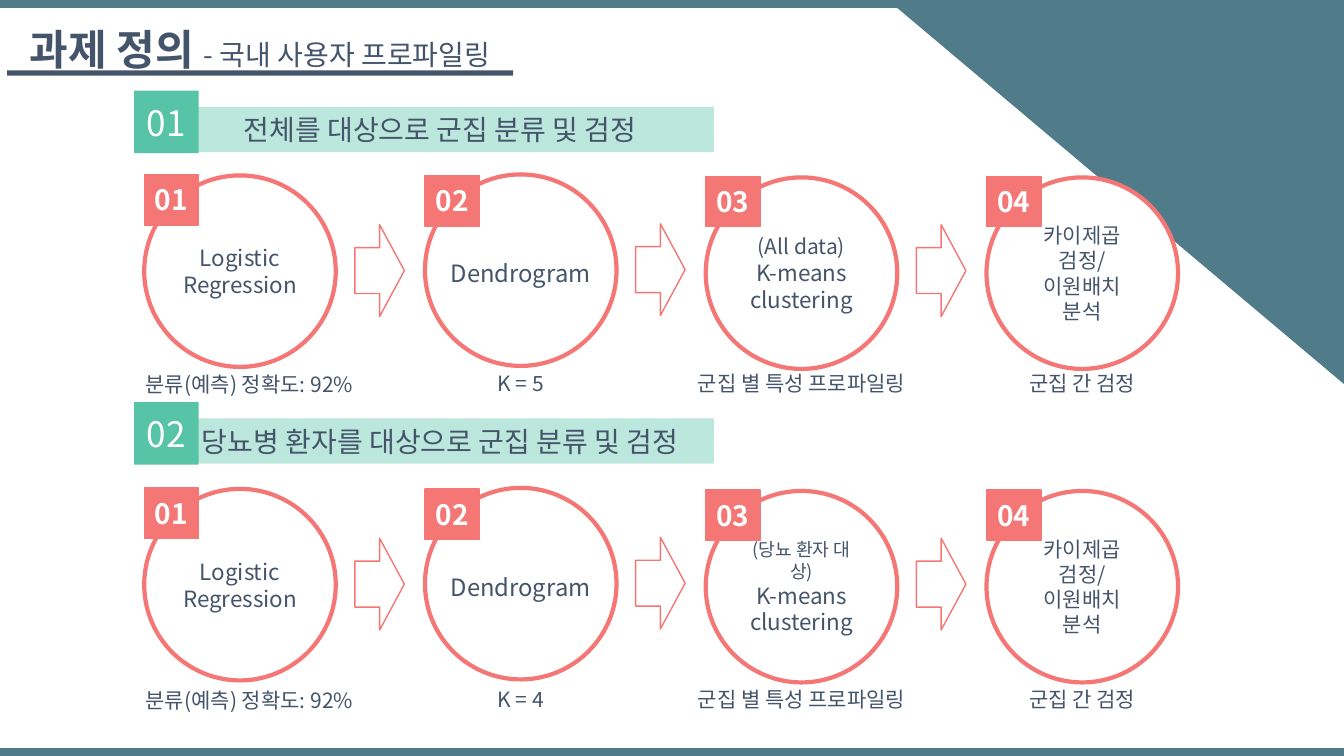
import pptx
import pptx.util
import pptx.oxml
import pptx.oxml.ns
import pptx.dml.color
import pptx.enum.shapes
import pptx.enum.text

SHAPE = pptx.enum.shapes.MSO_SHAPE
WIDTH = pptx.util.Inches(13.33)
HEIGHT = pptx.util.Inches(7.5)
FONT = "Noto Sans CJK KR"
COLORS = {
    "teal": "507C89",
    "white": "FFFFFF",
    "ink": "44546A",
    "mint": "BCE7DC",
    "green": "57C3A7",
    "coral": "F47775",
}

# Areas are left, top, width and height in percent of the slide.
FIRST_COLUMN, COLUMN_PITCH = 10.73, 20.89
BANNER_PITCH, STEP_PITCH, CAPTION_PITCH = 41.2, 41.47, 41.87
CIRCLE_WIDTH, CIRCLE_HEIGHT = 14.25, 25.33
CIRCLE_TOPS = [23.2, 23.07, 23.47, 23.47]
BADGE_TOPS = [23.07, 23.2, 23.33, 23.33]
ARROW_TOPS = [29.73, 29.6, 29.73]
CAPTION_TOPS = [47.33, 47.2, 47.2, 47.2]
CAPTION_WIDTHS = [17.63, 11.7, 18.15, 11.7]
CAPTION_SHIFTS = [0.7, 0, 0, 0]

LOGISTIC = [("Logistic", 16), ("Regression", 16)]
KMEANS = [("K-means", 16), ("clustering", 16)]
TESTS = [("카이제곱", 15), ("검정/", 15), ("이원배치", 15), ("분석", 15)]
ANALYSES = [
    {
        "heading": "전체를 대상으로 군집 분류 및 검정",
        "circles": [LOGISTIC, [], [("(All data)", 15)] + KMEANS, TESTS],
        "clusters": "K = 5",
    },
    {
        "heading": "당뇨병 환자를 대상으로 군집 분류 및 검정",
        "circles": [LOGISTIC, [], [("(당뇨 환자 대상)", 13)] + KMEANS, TESTS],
        "clusters": "K = 4",
    },
]


def color(name):
    return pptx.dml.color.RGBColor.from_string(COLORS[name])


def measure(area):
    left, top, width, height = area
    return (
        round(WIDTH * left / 100),
        round(HEIGHT * top / 100),
        round(WIDTH * width / 100),
        round(HEIGHT * height / 100),
    )


def column_left(column):
    return FIRST_COLUMN + COLUMN_PITCH * column


def format_run(run, size, color_name="ink", bold=False):
    run.font.name = FONT
    run.font.size = pptx.util.Pt(size)
    run.font.bold = bold
    run.font.color.rgb = color(color_name)


def set_east_asian_font(shape):
    for latin in list(shape.element.iter(pptx.oxml.ns.qn("a:latin"))):
        east_asian = pptx.oxml.parse_xml(
            f'<a:ea {pptx.oxml.ns.nsdecls("a")} typeface="{FONT}"/>'
        )
        latin.addnext(east_asian)


def write_lines(shape, lines, color_name="ink", bold=False):
    text_frame = shape.text_frame
    text_frame.word_wrap = True
    text_frame.vertical_anchor = pptx.enum.text.MSO_ANCHOR.MIDDLE
    text_frame.text = "\n".join(text for text, size in lines)
    for paragraph, (text, size) in zip(text_frame.paragraphs, lines):
        paragraph.alignment = pptx.enum.text.PP_ALIGN.CENTER
        format_run(paragraph.runs[0], size, color_name, bold)
    set_east_asian_font(shape)


def add_block(slide, kind, area, fill=None, line_width=0):
    shape = slide.shapes.add_shape(kind, *measure(area))
    shape.shadow.inherit = False
    if fill:
        shape.fill.solid()
        shape.fill.fore_color.rgb = color(fill)
    else:
        shape.fill.background()
    if line_width:
        shape.line.color.rgb = color("coral")
        shape.line.width = pptx.util.Pt(line_width)
    else:
        shape.line.fill.background()
    return shape


def add_label(slide, area, text, size):
    label = slide.shapes.add_textbox(*measure(area))
    write_lines(label, [(text, size)])


def add_backdrop(slide):
    slide.background.fill.solid()
    slide.background.fill.fore_color.rgb = color("teal")
    add_block(slide, SHAPE.RECTANGLE, (0, 1.07, 100, 97.87), "white")
    corner = add_block(
        slide, SHAPE.ISOSCELES_TRIANGLE, (66.77, 1.07, 33.23, 49.73), "teal"
    )
    corner.adjustments[0] = 0
    corner.rotation = 180


def add_title(slide):
    title = slide.shapes.title
    title.element.getparent().append(title.element)
    title.left, title.top, title.width, title.height = measure(
        (0.53, 1.07, 37.66, 10.67)
    )
    text_frame = title.text_frame
    text_frame.auto_size = pptx.enum.text.MSO_AUTO_SIZE.NONE
    text_frame.word_wrap = False
    text_frame.vertical_anchor = pptx.enum.text.MSO_ANCHOR.MIDDLE
    paragraph = text_frame.paragraphs[0]
    paragraph.text = "과제 정의 "
    paragraph.alignment = pptx.enum.text.PP_ALIGN.CENTER
    format_run(paragraph.runs[0], 30, bold=True)
    subtitle = paragraph.add_run()
    subtitle.text = "- 국내 사용자 프로파일링"
    format_run(subtitle, 20)
    set_east_asian_font(title)
    add_block(slide, SHAPE.RECTANGLE, (0.53, 9.33, 37.66, 0.67), "ink")


def add_banner(slide, row, heading):
    offset = BANNER_PITCH * row
    banner = add_block(
        slide, SHAPE.RECTANGLE, (12.38, 14.13 + offset, 40.74, 6), "mint"
    )
    write_lines(banner, [(heading, 20)])
    number = add_block(
        slide, SHAPE.RECTANGLE, (9.98, 12 + offset, 4.8, 8.27), "green"
    )
    write_lines(number, [(f"{row + 1:02}", 25)], "white")


def add_step(slide, row, column, lines):
    left, offset = column_left(column), STEP_PITCH * row
    circle_area = (left, CIRCLE_TOPS[column] + offset, CIRCLE_WIDTH, CIRCLE_HEIGHT)
    circle = add_block(slide, SHAPE.OVAL, circle_area, "white", 3)
    if lines:
        write_lines(circle, lines)
    else:
        add_label(slide, (left + 0.18, 32.67 + offset, 13.88, 6.93), "Dendrogram", 17)
    badge_area = (left, BADGE_TOPS[column] + offset, 4.05, 6.67)
    badge = add_block(slide, SHAPE.RECTANGLE, badge_area, "coral", 1)
    write_lines(badge, [(f"{column + 1:02}", 20)], "white", bold=True)


def add_arrow(slide, row, column):
    top = ARROW_TOPS[column] + STEP_PITCH * row
    area = (column_left(column) + 15.68, top, 3.68, 12.13)
    add_block(slide, SHAPE.RIGHT_ARROW, area, line_width=1)


def add_caption(slide, row, column, text):
    width = CAPTION_WIDTHS[column]
    center = column_left(column) + CIRCLE_WIDTH / 2 + CAPTION_SHIFTS[column]
    top = CAPTION_TOPS[column] + CAPTION_PITCH * row
    add_label(slide, (center - width / 2, top, width, 6.93), text, 15)


def main():
    presentation = pptx.Presentation()
    presentation.slide_width, presentation.slide_height = WIDTH, HEIGHT
    layout = presentation.slide_layouts.get_by_name("Title Only")
    slide = presentation.slides.add_slide(layout)
    add_backdrop(slide)
    add_title(slide)
    for row, analysis in enumerate(ANALYSES):
        add_banner(slide, row, analysis["heading"])
    for row, analysis in enumerate(ANALYSES):
        for column, lines in enumerate(analysis["circles"]):
            add_step(slide, row, column, lines)
        for column in range(len(ARROW_TOPS)):
            add_arrow(slide, row, column)
        captions = [
            "분류(예측) 정확도: 92%",
            analysis["clusters"],
            "군집 별 특성 프로파일링",
            "군집 간 검정",
        ]
        for column, text in enumerate(captions):
            add_caption(slide, row, column, text)
    presentation.save("out.pptx")


if __name__ == "__main__":
    main()
